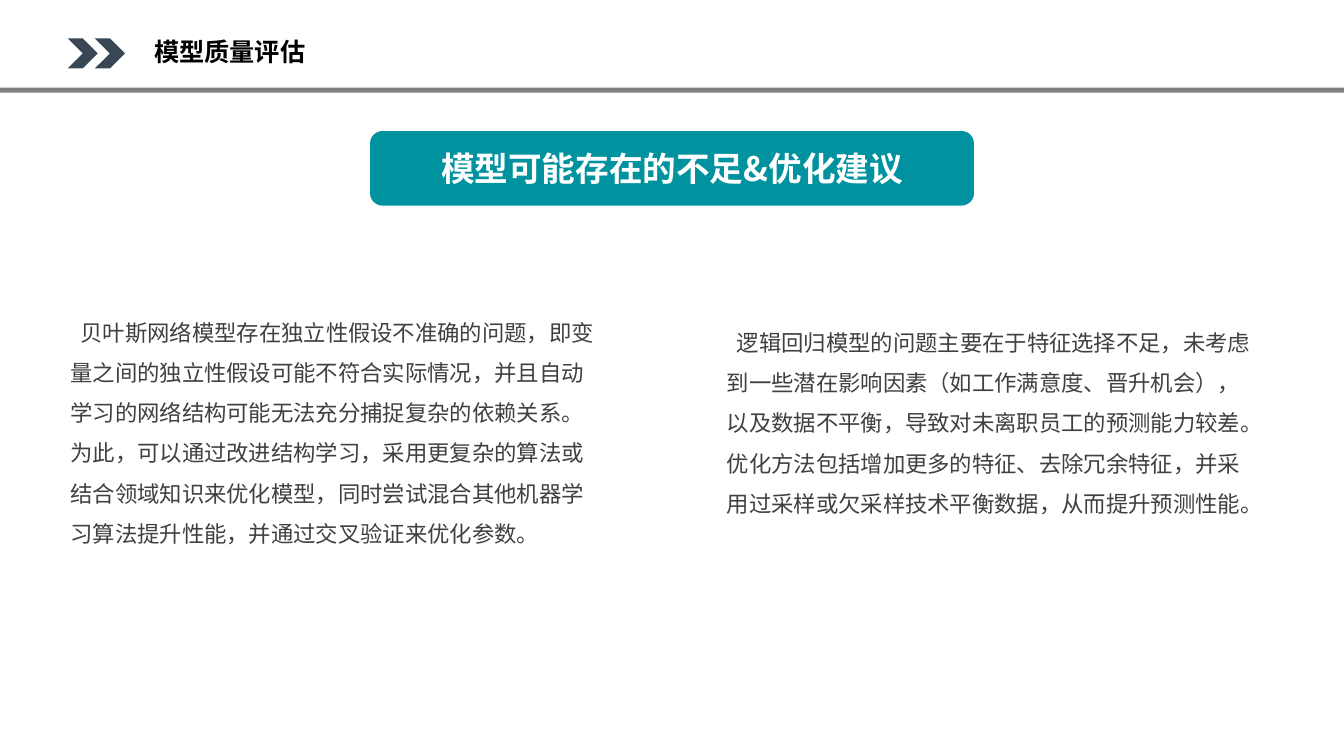
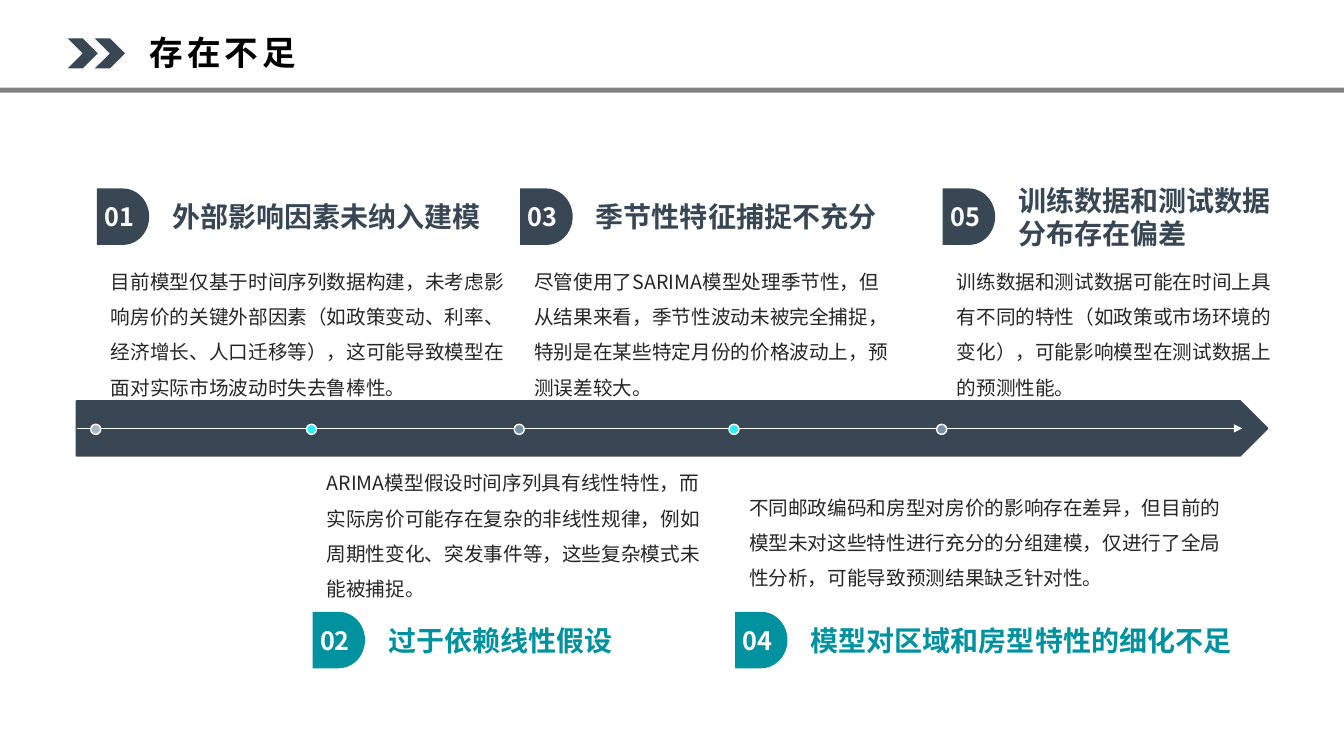
import pptx
import pptx.util
import pptx.dml.color
import pptx.enum.shapes
import pptx.enum.text
import pptx.oxml
import pptx.oxml.ns

Inches = pptx.util.Inches
SHAPE = pptx.enum.shapes.MSO_SHAPE
ANCHOR = pptx.enum.text.MSO_ANCHOR
ALIGN = pptx.enum.text.PP_ALIGN
GROW = pptx.enum.text.MSO_AUTO_SIZE.SHAPE_TO_FIT_TEXT

FONT = "Noto Sans CJK SC"
COLORS = {
    "white": "FFFFFF", "black": "000000", "navy": "394754", "teal": "00939F",
    "rule": "808080", "prose": "404040", "detail": "262626",
    "mist": "A7B6C3", "slate": "7B91A5", "cyan": "2CEFFF",
}
MARGINS = ("margin_left", "margin_top", "margin_right", "margin_bottom")
FLUSH = dict.fromkeys(MARGINS, 0)
CENTERED = {"vertical_anchor": ANCHOR.MIDDLE, "word_wrap": True}
GROWING = {"word_wrap": True, "auto_size": GROW}


def color(name):
    """Return the palette colour of that name."""
    return pptx.dml.color.RGBColor.from_string(COLORS[name])


def apply(target, values):
    """Set each format value as an attribute of the target."""
    for name, value in values.items():
        setattr(target, name, value)


def write(shape, text, size, ink, bold=False, frame=None, paragraph=None, indent=0, spacing=0):
    """Put one formatted paragraph into a shape."""
    apply(shape.text_frame, frame or {})
    line = shape.text_frame.paragraphs[0]
    apply(line, paragraph or {})
    if indent:
        line._p.get_or_add_pPr().set("indent", str(Inches(indent)))
    run = line.add_run()
    run.text = text
    apply(run.font, {"name": FONT, "size": pptx.util.Pt(size), "bold": bold})
    run.font.color.rgb = color(ink)
    properties = run._r.get_or_add_rPr()
    if spacing:
        properties.set("spc", str(spacing * 100))
    east_asian = pptx.oxml.parse_xml(
        f'<a:ea {pptx.oxml.ns.nsdecls("a")} typeface="{FONT}"/>')
    properties.find(pptx.oxml.ns.qn("a:latin")).addnext(east_asian)


def add_text(slide, box, *content, **formats):
    """Add a text box at the given left, top, width and height."""
    write(slide.shapes.add_textbox(*map(Inches, box)), *content, **formats)


def add_block(shapes, kind, box, fill, outline=None, width=1):
    """Add a flat preset shape with an optional outline."""
    block = shapes.add_shape(kind, *map(Inches, box))
    block.shadow.inherit = False
    block.fill.solid()
    block.fill.fore_color.rgb = color(fill)
    if outline:
        block.line.color.rgb = color(outline)
        block.line.width = pptx.util.Pt(width)
    else:
        block.line.fill.background()
    return block


def add_header(slide, title, box, size, **formats):
    """Draw the double chevron, the rule and the slide title."""
    chevrons = slide.shapes.add_group_shape()
    for left in (0.67, 0.94):
        add_block(chevrons.shapes, SHAPE.CHEVRON, (left, 0.38, 0.3, 0.3), "navy")
    add_block(slide.shapes, SHAPE.RECTANGLE, (0, 0.87, 13.33, 0.05), "rule")
    add_text(slide, box, title, size, "black", True, **formats)


def build_evaluation(slide):
    """Build the slide with the banner and two columns of prose."""
    add_header(slide, "模型质量评估", (1.43, 0.31, 3.05, 0.4), 18, frame=GROWING)
    banner = add_block(slide.shapes, SHAPE.ROUNDED_RECTANGLE, (3.67, 1.3, 5.99, 0.74), "teal")
    write(banner, "模型可能存在的不⾜&优化建议", 24, "white", True,
          frame=CENTERED, paragraph={"alignment": ALIGN.CENTER})
    columns = [
        ((0.6, 2.98, 5.51, 2.52),
         "贝叶斯网络模型存在独立性假设不准确的问题，即变量之间的独立性假设可能不符合实际情况，"
         "并且自动学习的网络结构可能无法充分捕捉复杂的依赖关系。为此，可以通过改进结构学习，"
         "采用更复杂的算法或结合领域知识来优化模型，同时尝试混合其他机器学习算法提升性能，"
         "并通过交叉验证来优化参数。"),
        ((7.11, 3.08, 5.51, 2.12),
         "逻辑回归模型的问题主要在于特征选择不足，未考虑到一些潜在影响因素"
         "（如工作满意度、晋升机会），以及数据不平衡，导致对未离职员工的预测能力较差。"
         "优化方法包括增加更多的特征、去除冗余特征，并采用过采样或欠采样技术平衡数据，"
         "从而提升预测性能。"),
    ]
    for box, prose in columns:
        add_text(slide, box, prose, 16, "prose", frame=GROWING,
                 paragraph={"line_spacing": 1.5}, indent=0.1)


def add_timeline(slide, left, top, width, height):
    """Draw the arrow band with a thin arrow along its middle."""
    band = add_block(slide.shapes, SHAPE.PENTAGON, (left, top, width, height), "navy", "navy", 1.5)
    middle = top + height / 2
    axis = slide.shapes.add_connector(
        pptx.enum.shapes.MSO_CONNECTOR.STRAIGHT,
        *map(Inches, (left, middle, left + width - 0.25, middle)))
    axis.begin_connect(band, 1)
    axis.line.color.rgb = color("white")
    axis.line.width = pptx.util.Pt(0.5)
    namespace = pptx.oxml.ns.nsdecls("a")
    axis.line._get_or_add_ln().append(
        pptx.oxml.parse_xml(f'<a:tailEnd {namespace} type="triangle"/>'))
    axis._element.spPr.append(pptx.oxml.parse_xml(f"<a:effectLst {namespace}/>"))


def add_step(slide, left, badge_top, ink, number, dot, heading, heading_width, detail, detail_box):
    """Draw one numbered step: badge, heading, detail and timeline dot."""
    badge = add_block(slide.shapes, SHAPE.FLOWCHART_DELAY, (left, badge_top, 0.52, 0.56), ink)
    write(badge, number, 18, "white", True, paragraph={"alignment": ALIGN.CENTER},
          frame={**FLUSH, "vertical_anchor": ANCHOR.MIDDLE, "word_wrap": False})
    add_text(slide, (left + 0.75, badge_top + 0.07, heading_width, 0.42),
             heading, 20, ink, True, frame={**FLUSH, **CENTERED})
    top, width, height, anchor = detail_box
    add_text(slide, (left + 0.14, top, width, height), detail, 14, "detail",
             frame={**FLUSH, "word_wrap": True, "vertical_anchor": anchor},
             paragraph={"line_spacing": 1.5})
    add_block(slide.shapes, SHAPE.OVAL, (left - 0.06, 4.21, 0.1, 0.1), dot, "white")


def build_shortcomings(slide):
    """Build the timeline slide with steps above and below the band."""
    padding = dict(zip(MARGINS, map(Inches, (0.14, 0.07) * 2)))
    add_header(slide, "存在不足", (1.34, 0.25, 1.78, 0.54), 24, spacing=3,
               frame={**padding, "word_wrap": False, "auto_size": GROW})
    add_timeline(slide, 0.76, 3.98, 11.81, 0.54)
    above, below = (1.87, "navy"), (6.07, "teal")
    steps = [
        (0.96, *above, "01", "mist", "外部影响因素未纳入建模", 3.3,
         "目前模型仅基于时间序列数据构建，未考虑影响房价的关键外部因素"
         "（如政策变动、利率、经济增长、人口迁移等），这可能导致模型在面对实际市场波动时失去鲁棒性。",
         (2.56, 3.91, 1.14, ANCHOR.TOP)),
        (3.1, *below, "02", "cyan", "过于依赖线性假设", 2.31,
         "ARIMA模型假设时间序列具有线性特性，而实际房价可能存在复杂的非线性规律，"
         "例如周期性变化、突发事件等，这些复杂模式未能被捕捉。",
         (4.71, 3.81, 1.25, ANCHOR.BOTTOM)),
        (5.16, *above, "03", "slate", "季节性特征捕捉不充分", 2.94,
         "尽管使用了SARIMA模型处理季节性，但从结果来看，季节性波动未被完全捕捉，"
         "特别是在某些特定月份的价格波动上，预测误差较大。",
         (2.56, 3.6, 1.14, ANCHOR.TOP)),
        (7.29, *below, "04", "cyan", "模型对区域和房型特性的细化不足", 4.73,
         "不同邮政编码和房型对房价的影响存在差异，但目前的模型未对这些特性进行充分的分组建模，"
         "仅进行了全局性分析，可能导致预测结果缺乏针对性。",
         (4.71, 4.77, 1.14, ANCHOR.BOTTOM)),
        (9.35, *above, "05", "slate", "训练数据和测试数据分布存在偏差", 2.67,
         "训练数据和测试数据可能在时间上具有不同的特性（如政策或市场环境的变化），"
         "可能影响模型在测试数据上的预测性能。",
         (2.56, 3.17, 1.14, ANCHOR.TOP)),
    ]
    for step in steps:
        add_step(slide, *step)


def main():
    """Build both slides and save the presentation."""
    deck = pptx.Presentation()
    apply(deck, {"slide_width": Inches(13.33), "slide_height": Inches(7.5)})
    for build in (build_evaluation, build_shortcomings):
        build(deck.slides.add_slide(deck.slide_layouts[6]))
    deck.save("out.pptx")


if __name__ == "__main__":
    main()
